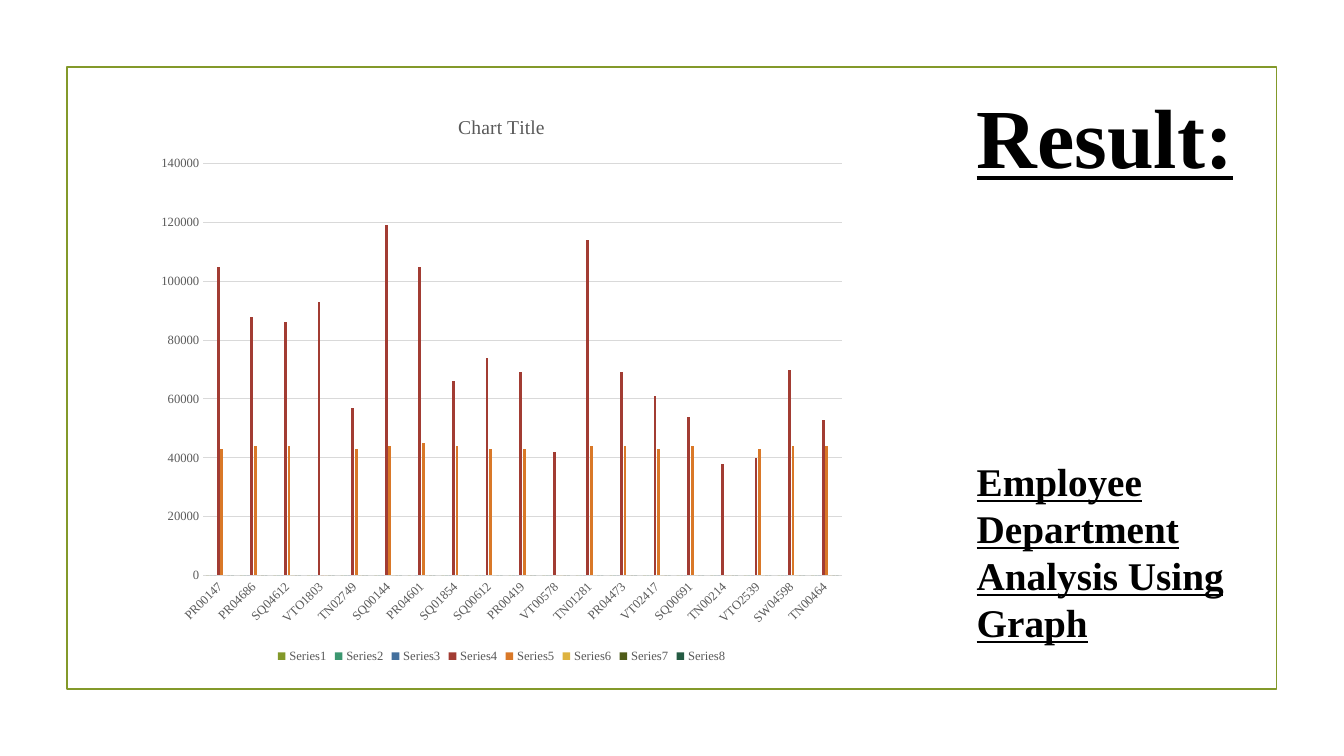
from pptx import Presentation
from pptx import util as u
from pptx.chart import data as cd
from pptx.dml.color import RGBColor
from pptx.enum import chart as ch, shapes, text
from pptx.oxml import ns
from lxml import etree

FACE = "Times New Roman"
BLACK = RGBColor(0x00, 0x00, 0x00)
GREY = RGBColor(0x59, 0x59, 0x59)
PALE = RGBColor(0xD9, 0xD9, 0xD9)
OLIVE = RGBColor(0x83, 0x99, 0x2A)
HUES = [OLIVE, RGBColor(0x3C, 0x97, 0x70), RGBColor(0x44, 0x70, 0x9D),
        RGBColor(0xA2, 0x3C, 0x33), RGBColor(0xD9, 0x78, 0x28),
        RGBColor(0xDE, 0xB3, 0x40), RGBColor(0x4F, 0x5C, 0x19),
        RGBColor(0x24, 0x5B, 0x43)]

STAFF = ["PR00147", "PR04686", "SQ04612", "VTO1803", "TN02749", "SQ00144",
         "PR04601", "SQ01854", "SQ00612", "PR00419", "VT00578", "TN01281",
         "PR04473", "VT02417", "SQ00691", "TN00214", "VTO2539", "SW04598",
         "TN00464"]
PAY = [105000, 88000, 86000, 93000, 57000, 119000, 105000, 66000, 74000, 69000,
       42000, 114000, 69000, 61000, 54000, 38000, 40000, 70000, 53000]
START = [43000, 44000, 44000, 0, 43000, 44000, 45000, 44000, 43000, 43000,
         0, 44000, 44000, 43000, 44000, 0, 43000, 44000, 44000]
NONE = [0] * len(STAFF)
GAP = [None if name == "PR04601" else 0 for name in STAFF]
ROWS = [NONE, GAP, NONE, PAY, START, NONE, NONE, NONE]


def style(font, size, color):
    font.name = FACE
    font.size = u.Pt(size)
    font.color.rgb = color
    font.bold = False


def frame(slide, box):
    rect = slide.shapes.add_shape(shapes.MSO_SHAPE.RECTANGLE, *box)
    rect.shadow.inherit = False
    rect.fill.background()
    rect.line.color.rgb = OLIVE
    rect.line.width = u.Pt(1.25)


def label(shape, box, words, size):
    shape.left, shape.top, shape.width, shape.height = box
    area = shape.text_frame
    area.text = words
    area.word_wrap = True
    area.auto_size = text.MSO_AUTO_SIZE.NONE
    area.vertical_anchor = text.MSO_ANCHOR.TOP
    para = area.paragraphs[0]
    para.alignment = text.PP_ALIGN.LEFT
    para.space_before = u.Pt(0)
    para.line_spacing = 1.0
    props = para._p.get_or_add_pPr()
    props.set("marL", "0")
    props.set("indent", "0")
    etree.SubElement(props, ns.qn("a:buNone"))
    style(para.font, size, BLACK)
    para.font.bold = True
    para.font.underline = True


def graph(slide, box):
    data = cd.CategoryChartData()
    data.categories = STAFF
    for num, row in enumerate(ROWS, 1):
        data.add_series(f"Series{num}", row)
    kind = ch.XL_CHART_TYPE.COLUMN_CLUSTERED
    chart = slide.shapes.add_chart(kind, *box, data).chart
    style(chart.font, 10, BLACK)

    chart.has_title = True
    chart.chart_title.include_in_layout = False
    head = chart.chart_title.text_frame
    head.text = "Chart Title"
    style(head.paragraphs[0].font, 14, GREY)

    chart.has_legend = True
    chart.legend.position = ch.XL_LEGEND_POSITION.BOTTOM
    chart.legend.include_in_layout = False
    style(chart.legend.font, 9, GREY)

    plot = chart.plots[0]
    plot.vary_by_categories = False
    plot.gap_width = 219
    plot.overlap = -27
    for bar, hue in zip(plot.series, HUES):
        bar.invert_if_negative = False
        bar.format.fill.solid()
        bar.format.fill.fore_color.rgb = hue

    names, scale = chart.category_axis, chart.value_axis
    for axis in (names, scale):
        axis.major_tick_mark = ch.XL_TICK_MARK.NONE
        axis.minor_tick_mark = ch.XL_TICK_MARK.NONE
        style(axis.tick_labels.font, 9, GREY)
        turn = axis._element.find(ns.qn("c:txPr")).find(ns.qn("a:bodyPr"))
        turn.set("rot", "-60000000")
        turn.set("vert", "horz")
    names.format.line.color.rgb = PALE
    names.format.line.width = u.Pt(0.75)
    scale.minimum_scale, scale.maximum_scale = 0, 140000
    scale.major_unit = 20000
    scale.format.line.fill.background()
    grid = scale.major_gridlines.format.line
    grid.color.rgb = PALE
    grid.width = u.Pt(0.75)


def cm(*box):
    return [u.Cm(size) for size in box]


def main():
    deck = Presentation()
    deck.slide_width, deck.slide_height = cm(33.87, 19.05)
    slide = deck.slides.add_slide(deck.slide_layouts[1])
    title, body = slide.placeholders
    frame(slide, cm(1.69, 1.69, 30.48, 15.67))
    label(body, cm(24.36, 11.4, 7.47, 5.05),
          "Employee Department Analysis Using Graph", 28)
    label(title, cm(24.36, 2.01, 7.06, 2.82), "Result:", 60)
    graph(slide, cm(3.71, 2.37, 17.86, 14.45))
    deck.save("out.pptx")


if __name__ == "__main__":
    main()
